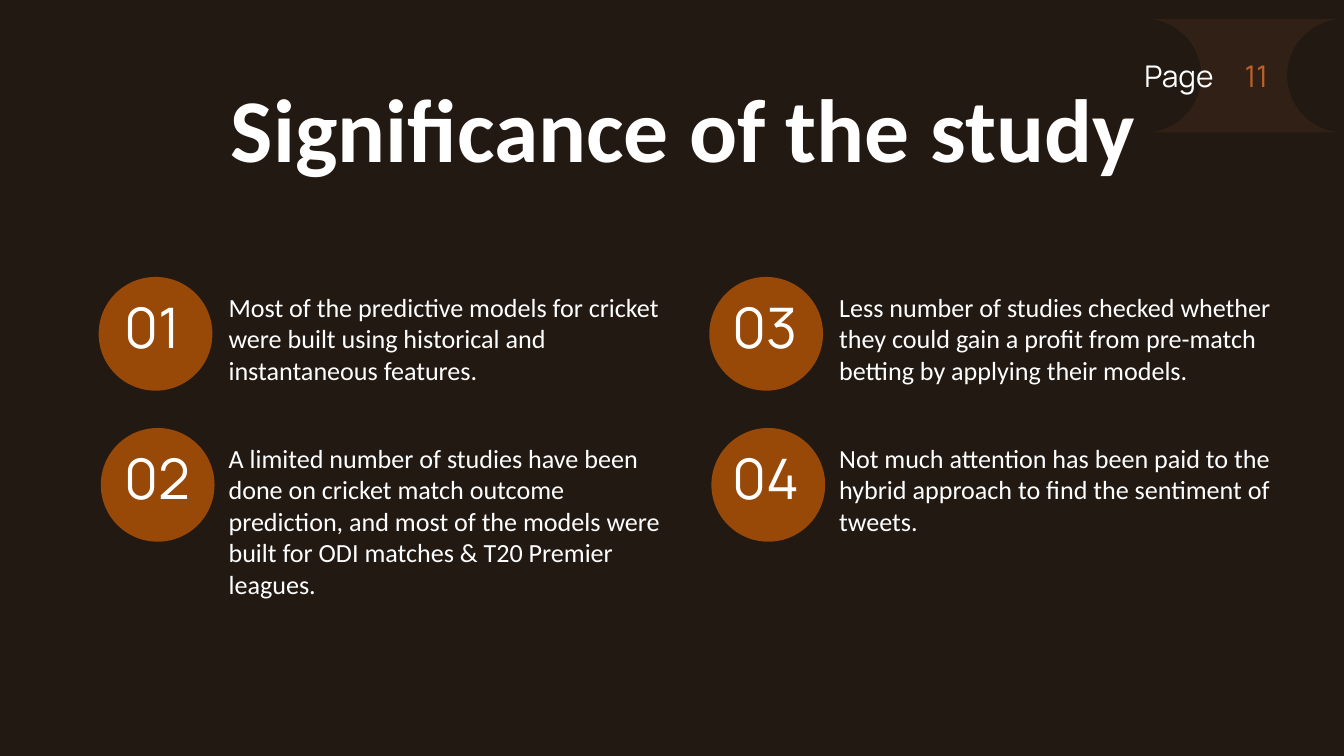
from math import cos, pi, sin

from lxml.etree import SubElement
from pptx import Presentation
from pptx.dml.color import RGBColor as RGB
from pptx.enum.shapes import MSO_SHAPE as SHAPE
from pptx.enum.text import PP_ALIGN as ALIGN
from pptx.oxml.ns import qn
from pptx.util import Cm, Pt

HUES = {"ground": "221913", "disc": "984807", "accent": "BD622A", "text": "FFFFFF"}

deck = Presentation()
deck.slide_width, deck.slide_height = Cm(50.8), Cm(28.58)
slide = deck.slides.add_slide(deck.slide_layouts[6])
slide.background.fill.solid()
slide.background.fill.fore_color.rgb = RGB.from_string(HUES["ground"])


def paint(shape, hue):
    shape.shadow.inherit = False
    shape.fill.solid()
    shape.fill.fore_color.rgb = RGB.from_string(HUES[hue])
    shape.line.fill.background()


def write(text, left, top, width, height, size, pitch,
          font="Calibri", hue="text", align=ALIGN.LEFT, bold=False):
    box = slide.shapes.add_textbox(Cm(left), Cm(top), Cm(width), Cm(height))
    frame = box.text_frame
    frame.word_wrap = True
    frame.margin_left = frame.margin_top = frame.margin_right = frame.margin_bottom = 0
    para = frame.paragraphs[0]
    para.alignment = align
    para.line_spacing = Pt(pitch)
    run = para.add_run()
    run.text = text
    run.font.name, run.font.size, run.font.bold = font, Pt(size), bold
    run.font.color.rgb = RGB.from_string(HUES[hue])


# Page badge: a band with a half circle cut from each end
left, right, mid, radius = 43.26, 50.8, 2.86, 2.15
steps = 32
arc = [(radius * sin(pi * i / steps), radius * cos(pi * i / steps))
       for i in range(steps + 1)]
edge = [(right - dx, mid - dy) for dx, dy in arc]
edge += [(left + dx, mid + dy) for dx, dy in arc]
points = [(Cm(x), Cm(y)) for x, y in edge]
pen = slide.shapes.build_freeform(*points[0])
pen.add_line_segments(points[1:], close=True)
badge = pen.convert_to_shape()
paint(badge, "accent")
tint = badge.fill._xPr.find(qn("a:solidFill"))[0]
SubElement(tint, qn("a:alpha")).set("val", "10000")

write("Page", left, 1.96, 3.33, 1.57, 32, 44.8, "Manrope")
write("11", 46.13, 1.96, 1.8, 1.57, 32, 44.8, "Manrope", "accent", ALIGN.RIGHT)

# Numbered points, down the left column and then the right
notes = [
    "Most of the predictive models for cricket were built using historical "
    "and instantaneous features.",
    "A limited number of studies have been done on cricket match outcome "
    "prediction, and most of the models were built for ODI matches & T20 "
    "Premier leagues.",
    "Less number of studies checked whether they could gain a profit from "
    "pre-match betting by applying their models.",
    "Not much attention has been paid to the hybrid approach to find the "
    "sentiment of tweets.",
]
for i, note in enumerate(notes):
    col, row = divmod(i, 2)
    drop = 5.71 * row
    disc = slide.shapes.add_shape(
        SHAPE.OVAL, Cm(3.73 + 23.08 * col + 0.08 * row), Cm(10.47 + drop),
        Cm(4.3), Cm(4.3))
    paint(disc, "disc")
    write(f"{i + 1:02}", 4.7 + 22.99 * col, 11.46 + drop, 4.34, 2.41,
          59.9, 61.1, "Manrope")
    write(note, 8.64 + 23.08 * col, 11.02 + drop, 17, 3.6, 28, 33.6)

# Title
write("Significance of the study", 8.66, 2.54, 34.32, 4.14, 96, 121.1,
      align=ALIGN.CENTER, bold=True)

deck.save("out.pptx")
